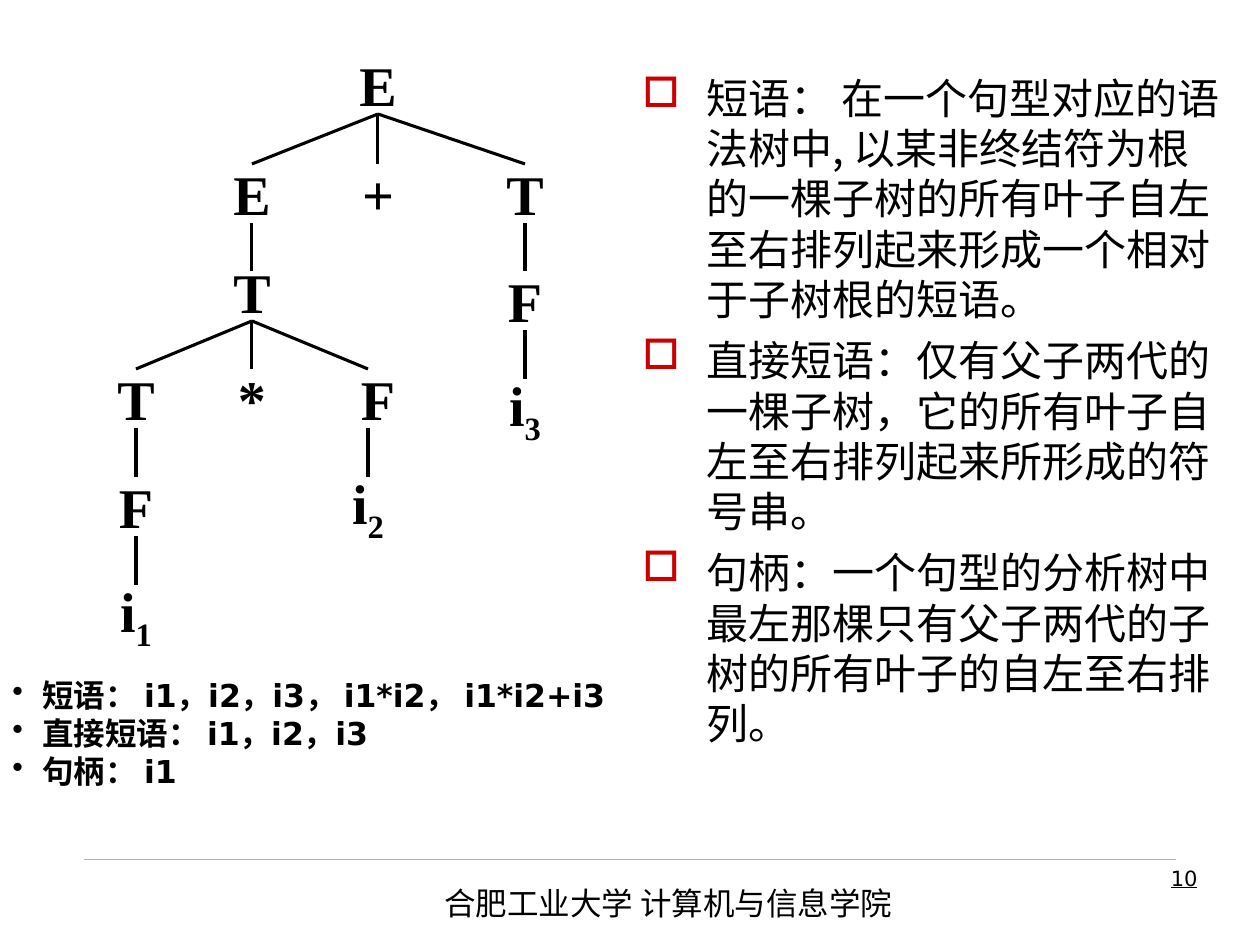
import pptx
import pptx.util
import pptx.dml.color
import pptx.enum.shapes
import pptx.enum.text
import pptx.oxml.ns
from dataclasses import dataclass
from lxml import etree


@dataclass(frozen=True)
class Theme:
    ink: str = "000000"
    accent: str = "CC0000"
    rule: str = "B2B2B2"
    cjk: str = "Noto Sans CJK SC"
    sans: str = "DejaVu Sans"
    serif: str = "Times New Roman"
    body: int = 24
    node: int = 32
    small: int = 18
    number: int = 12
    branch: float = 1.75
    hairline: float = 0.25


THEME = Theme()
SCALE = 914400 // 126
NODE_W, NODE_H = 84, 59

DEFINITIONS = [
    "短语： 在一个句型对应的语法树中, 以某非终结符为根的一棵子树的所有叶子自左至右排列起来形成一个相对于子树根的短语。",
    "直接短语：仅有父子两代的一棵子树，它的所有叶子自左至右排列起来所形成的符号串。",
    "句柄：一个句型的分析树中最左那棵只有父子两代的子树的所有叶子的自左至右排列。",
]
ANSWERS = [
    "短语： i1，i2，i3， i1*i2， i1*i2+i3",
    "直接短语： i1，i2，i3",
    "句柄： i1",
]
FOOTER = "合肥工业大学 计算机与信息学院"
PAGE = "10"

# key: (symbol, subscript, centre x, top)
NODES = {
    "root": ("E", "", 378, 55),
    "sum": ("E", "", 252, 164),
    "plus": ("+", "", 378, 164),
    "right term": ("T", "", 525, 164),
    "product": ("T", "", 252, 262),
    "right factor": ("F", "", 525, 271),
    "left term": ("T", "", 136, 369),
    "times": ("*", "", 252, 369),
    "factor": ("F", "", 378, 369),
    "i3": ("i", "3", 525, 379),
    "left factor": ("F", "", 136, 477),
    "i2": ("i", "2", 368, 477),
    "i1": ("i", "1", 136, 585),
}
CHILDREN = {
    "root": ["sum", "plus", "right term"],
    "sum": ["product"],
    "right term": ["right factor"],
    "right factor": ["i3"],
    "product": ["left term", "times", "factor"],
    "left term": ["left factor"],
    "left factor": ["i1"],
    "factor": ["i2"],
}
START_SHIFT = {"factor": (-10, 0)}
END_SHIFT = {"product": (0, 9), "factor": (-10, 0)}


def px(*lengths):
    return [pptx.util.Emu(round(length * SCALE)) for length in lengths]


def rgb(value):
    return pptx.dml.color.RGBColor.from_string(value)


def format_runs(paragraph, size, face, bold=False, underline=False):
    for run in paragraph.runs:
        run.font.size = pptx.util.Pt(size)
        run.font.name = face
        run.font.bold = bold
        run.font.underline = underline
        run.font.color.rgb = rgb(THEME.ink)
        east_asian = etree.SubElement(run.font._element, pptx.oxml.ns.qn("a:ea"))
        east_asian.set("typeface", THEME.cjk)


def add_bullet(paragraph, mark, colour, indent):
    properties = paragraph._p.get_or_add_pPr()
    hanging = px(indent)[0]
    properties.set("marL", str(hanging))
    properties.set("indent", str(-hanging))
    bullet_colour = etree.SubElement(properties, pptx.oxml.ns.qn("a:buClr"))
    etree.SubElement(bullet_colour, pptx.oxml.ns.qn("a:srgbClr")).set("val", colour)
    etree.SubElement(properties, pptx.oxml.ns.qn("a:buChar")).set("char", mark)


def add_text(shapes, box, lines, size, face, bold=False, underline=False, align=None):
    holder = shapes.add_textbox(*px(*box))
    frame = holder.text_frame
    frame.word_wrap = True
    frame.text = "\n".join(lines)
    for paragraph in frame.paragraphs:
        paragraph.alignment = align
        format_runs(paragraph, size, face, bold, underline)
    return holder


def add_list(shapes, box, lines, size, face, mark, colour, indent, gap=0, bold=False):
    holder = add_text(shapes, box, lines, size, face, bold)
    for index, paragraph in enumerate(holder.text_frame.paragraphs):
        paragraph.line_spacing = pptx.util.Pt(round(size * 1.2, 1))
        if index and gap:
            paragraph.space_before = pptx.util.Pt(gap)
        add_bullet(paragraph, mark, colour, indent)


def add_line(shapes, start, end, colour, width):
    line = shapes.add_connector(
        pptx.enum.shapes.MSO_CONNECTOR.STRAIGHT, *px(*start, *end))
    line.line.color.rgb = rgb(colour)
    line.line.width = pptx.util.Pt(width)
    etree.SubElement(line._element.spPr, pptx.oxml.ns.qn("a:effectLst"))
    return line


def add_node(shapes, symbol, subscript, centre, top):
    node = add_text(shapes, (centre - NODE_W // 2, top, NODE_W, NODE_H), [symbol],
                    THEME.node, THEME.serif, True, align=pptx.enum.text.PP_ALIGN.CENTER)
    node.text_frame.word_wrap = False
    node.text_frame.vertical_anchor = pptx.enum.text.MSO_ANCHOR.MIDDLE
    if subscript:
        paragraph = node.text_frame.paragraphs[0]
        index = paragraph.add_run()
        index.text = subscript
        format_runs(paragraph, THEME.node, THEME.serif, True)
        index.font._element.set("baseline", "-25000")
    return node


def add_tree(slide):
    tree = slide.shapes.add_group_shape().shapes
    placed = {key: add_node(tree, *node) for key, node in NODES.items()}
    for parent, children in CHILDREN.items():
        for child in children:
            (_, _, x1, y1), (_, _, x2, y2) = NODES[parent], NODES[child]
            dx1, dy1 = START_SHIFT.get(parent, (0, 0))
            dx2, dy2 = END_SHIFT.get(child, (0, 0))
            branch = add_line(tree, (x1 + dx1, y1 + NODE_H + dy1), (x2 + dx2, y2 + dy2),
                              THEME.ink, THEME.branch)
            if parent not in START_SHIFT:
                branch.begin_connect(placed[parent], 2)
            if child not in END_SHIFT:
                branch.end_connect(placed[child], 0)


def main():
    deck = pptx.Presentation()
    deck.slide_width, deck.slide_height = px(1260, 945)
    slide = deck.slides.add_slide(deck.slide_layouts[6])
    shapes = slide.shapes
    add_line(shapes, (84, 859), (1176, 859), THEME.rule, THEME.hairline)
    add_text(shapes, (432, 878, 605, 50), [FOOTER], THEME.small, THEME.cjk)
    add_list(shapes, (630, 66, 607, 696), DEFINITIONS, THEME.body, THEME.cjk,
             "□", THEME.accent, 64, gap=6)
    add_tree(slide)
    add_list(shapes, (0, 670, 675, 126), ANSWERS, THEME.small, THEME.sans,
             "•", THEME.ink, 30, bold=True)
    add_text(shapes, (937, 859, 273, 66), [PAGE], THEME.number, THEME.sans,
             underline=True, align=pptx.enum.text.PP_ALIGN.RIGHT)
    deck.save("out.pptx")


if __name__ == "__main__":
    main()
